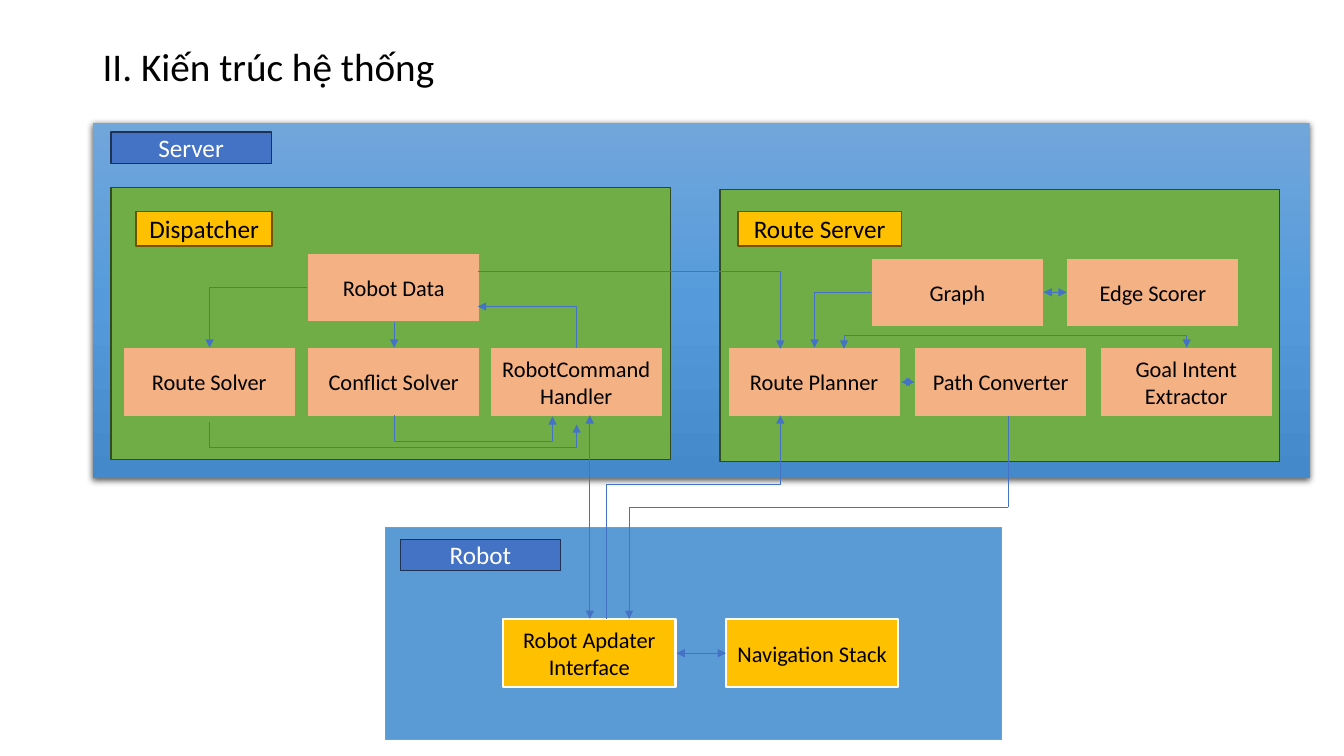
from copy import deepcopy
from dataclasses import dataclass
from typing import NamedTuple, Optional

from pptx import Presentation
from pptx import util as u
from pptx.dml.color import RGBColor
from pptx.enum import shapes, text
from pptx.oxml import parse_xml
from pptx.oxml.ns import nsdecls, qn
from pptx.oxml.xmlchemy import OxmlElement

PX = 9144  # one px is a hundredth of an inch


class Style(NamedTuple):
    fill: str
    line: str
    line_pt: float
    ink: str = "000000"
    size: int = 16


@dataclass(frozen=True)
class Theme:
    font: str = "Calibri"
    ink: str = "000000"
    title_size: int = 28
    arrow: str = "4472C4"
    arrow_pt: float = 0.5
    server_gradient: tuple[str, ...] = ("71A6DB", "559BDB", "448ACA")
    module: Style = Style("70AD47", "314C1F", 1)
    robot: Style = Style("5B9BD5", "ED7D31", 0.5)
    node: Style = Style("F4B183", "70AD47", 1)
    device: Style = Style("FFC000", "FFFFFF", 1.5)
    module_tag: Style = Style("FFC000", "705400", 1, size=18)
    host_tag: Style = Style("4472C4", "1E3256", 1, "FFFFFF", 18)


THEME = Theme()


class Box(NamedTuple):
    left: int
    top: int
    width: int
    height: int
    style: Style
    label: str = ""


class Arrow(NamedTuple):
    """A link; `bend` is the signed run before the turn, None for one corner."""
    start: tuple[int, int]
    end: tuple[int, int]
    elbow: bool = False
    vertical: bool = False
    bend: Optional[int] = None
    head: bool = False
    tail: bool = True


def rgb(value: str) -> RGBColor:
    return RGBColor.from_string(value)


def write(frame, label: str, size: int, ink: str) -> None:
    frame.text = label
    frame.word_wrap = True
    frame.vertical_anchor = text.MSO_ANCHOR.MIDDLE
    for run in frame.paragraphs[0].runs:
        run.font.name = THEME.font
        run.font.size = u.Pt(size)
        run.font.color.rgb = rgb(ink)


def add_rect(slide, left: int, top: int, width: int, height: int):
    return slide.shapes.add_shape(shapes.MSO_SHAPE.RECTANGLE,
                                  left * PX, top * PX, width * PX, height * PX)


def draw_box(slide, box: Box) -> None:
    rect = add_rect(slide, *box[:4])
    rect.shadow.inherit = False
    rect.fill.solid()
    rect.fill.fore_color.rgb = rgb(box.style.fill)
    rect.line.color.rgb = rgb(box.style.line)
    rect.line.width = u.Pt(box.style.line_pt)
    if box.label:
        write(rect.text_frame, box.label, box.style.size, box.style.ink)
        rect.text_frame.paragraphs[0].alignment = text.PP_ALIGN.CENTER


def draw_server(slide) -> None:
    server = add_rect(slide, 92, 122, 1207, 352)
    server.line.fill.background()
    server.fill.gradient()
    server.fill.gradient_angle = 270
    first = server.fill.gradient_stops[0]._gs
    first.addnext(deepcopy(first))
    for i, (stop, color) in enumerate(zip(server.fill.gradient_stops, THEME.server_gradient)):
        stop.position = i / 2
        stop.color.rgb = rgb(color)
    server._element.spPr.append(parse_xml(
        f'<a:effectLst {nsdecls("a")}><a:outerShdw blurRad="{u.Pt(4.5)}" dist="{u.Pt(1.5)}" '
        'dir="5400000" algn="ctr" rotWithShape="0"><a:srgbClr val="000000">'
        '<a:alpha val="63000"/></a:srgbClr></a:outerShdw></a:effectLst>'))


def shape_elbow(connector, arrow: Arrow) -> None:
    """Turn the frame so that its first run follows the arrow's first run."""
    (x1, y1), (x2, y2) = arrow.start, arrow.end
    dx, dy = x2 - x1, y2 - y1
    along, across = (dy, -dx) if arrow.vertical else (dx, dy)
    xfrm = connector._element.spPr.find(qn("a:xfrm"))
    for name, value in (("rot", "5400000" if arrow.vertical else "0"),
                        ("flipH", str(int(along < 0))), ("flipV", str(int(across < 0)))):
        xfrm.set(name, value)
    connector.width, connector.height = abs(along) * PX, abs(across) * PX
    connector.left = (x1 + x2 - abs(along)) * PX // 2
    connector.top = (y1 + y2 - abs(across)) * PX // 2
    geometry = connector._element.spPr.find(qn("a:prstGeom"))
    if arrow.bend is None:
        geometry.set("prst", "bentConnector2")
        return
    guide = OxmlElement("a:gd")
    guide.set("name", "adj1")
    guide.set("fmla", f"val {round(100000 * arrow.bend / along)}")
    geometry.get_or_add_avLst().append(guide)


def draw_arrow(slide, arrow: Arrow) -> None:
    kind = shapes.MSO_CONNECTOR.ELBOW if arrow.elbow else shapes.MSO_CONNECTOR.STRAIGHT
    connector = slide.shapes.add_connector(
        kind, *(value * PX for value in arrow.start + arrow.end))
    if arrow.elbow:
        shape_elbow(connector, arrow)
    connector.line.color.rgb = rgb(THEME.arrow)
    connector.line.width = u.Pt(THEME.arrow_pt)
    for name, shown in (("a:headEnd", arrow.head), ("a:tailEnd", arrow.tail)):
        if shown:
            tip = OxmlElement(name)
            tip.set("type", "triangle")
            connector.line._get_or_add_ln().append(tip)
    connector._element.spPr.append(OxmlElement("a:effectLst"))


def node(left: int, top: int, label: str, style: Style = THEME.node) -> Box:
    return Box(left, top, 171, 68, style, label)


# Containers, their tags and the components inside
SOLVER_TOP, GRAPH_TOP, DEVICE_TOP = 345, 256, 614
BOXES = [
    Box(110, 186, 555, 270, THEME.module),
    Box(714, 188, 555, 270, THEME.module),
    Box(382, 523, 611, 211, THEME.robot),
    Box(110, 131, 159, 31, THEME.host_tag, "Server"),
    Box(397, 535, 159, 31, THEME.host_tag, "Robot"),
    Box(135, 210, 135, 34, THEME.module_tag, "Dispatcher"),
    Box(732, 210, 162, 34, THEME.module_tag, "Route Server"),
    node(305, 251, "Robot Data"),
    node(122, SOLVER_TOP, "Route Solver"),
    node(305, SOLVER_TOP, "Conflict Solver"),
    node(486, SOLVER_TOP, "RobotCommandHandler"),
    node(864, GRAPH_TOP, "Graph"),
    node(1058, GRAPH_TOP, "Edge Scorer"),
    node(722, SOLVER_TOP, "Route Planner"),
    node(907, SOLVER_TOP, "Path Converter"),
    node(1091, SOLVER_TOP, "Goal Intent Extractor"),
    node(499, DEVICE_TOP, "Robot Apdater Interface", THEME.device),
    node(720, DEVICE_TOP, "Navigation Stack", THEME.device),
]

ARROWS = [
    # Within the dispatcher
    Arrow((208, 419), (572, 421), elbow=True, vertical=True, bend=25),
    Arrow((391, 412), (548, 413), elbow=True, vertical=True, bend=26),
    Arrow((305, 285), (208, 345), elbow=True),
    Arrow((391, 319), (391, 345)),
    Arrow((572, 345), (474, 304), elbow=True, vertical=True),
    # Within the route server
    Arrow((894, 379), (907, 379), head=True),
    Arrow((1035, 290), (1058, 290), head=True),
    Arrow((864, 290), (808, 345), elbow=True),
    Arrow((1177, 345), (837, 346), elbow=True, vertical=True, bend=-13, head=True),
    # Between server modules and the robot
    Arrow((474, 269), (774, 346), elbow=True, bend=300),
    Arrow((585, 412), (585, 614), head=True),
    Arrow((601, 614), (774, 412), elbow=True, vertical=True, bend=-134),
    Arrow((1000, 503), (624, 614), elbow=True),
    Arrow((1000, 503), (1000, 413), tail=False),
    Arrow((671, 648), (720, 648), head=True),
]


def main() -> None:
    deck = Presentation()
    deck.slide_width, deck.slide_height = u.Emu(1333 * PX), u.Emu(750 * PX)
    slide = deck.slides.add_slide(deck.slide_layouts[6])

    # Heading
    heading = slide.shapes.add_textbox(92 * PX, 40 * PX, 1150 * PX, 57 * PX).text_frame
    write(heading, "II. Kiến trúc hệ thống", THEME.title_size, THEME.ink)
    heading.paragraphs[0].line_spacing = 0.9

    # Diagram
    draw_server(slide)
    for box in BOXES:
        draw_box(slide, box)
    for arrow in ARROWS:
        draw_arrow(slide, arrow)
    deck.save("out.pptx")


if __name__ == "__main__":
    main()
